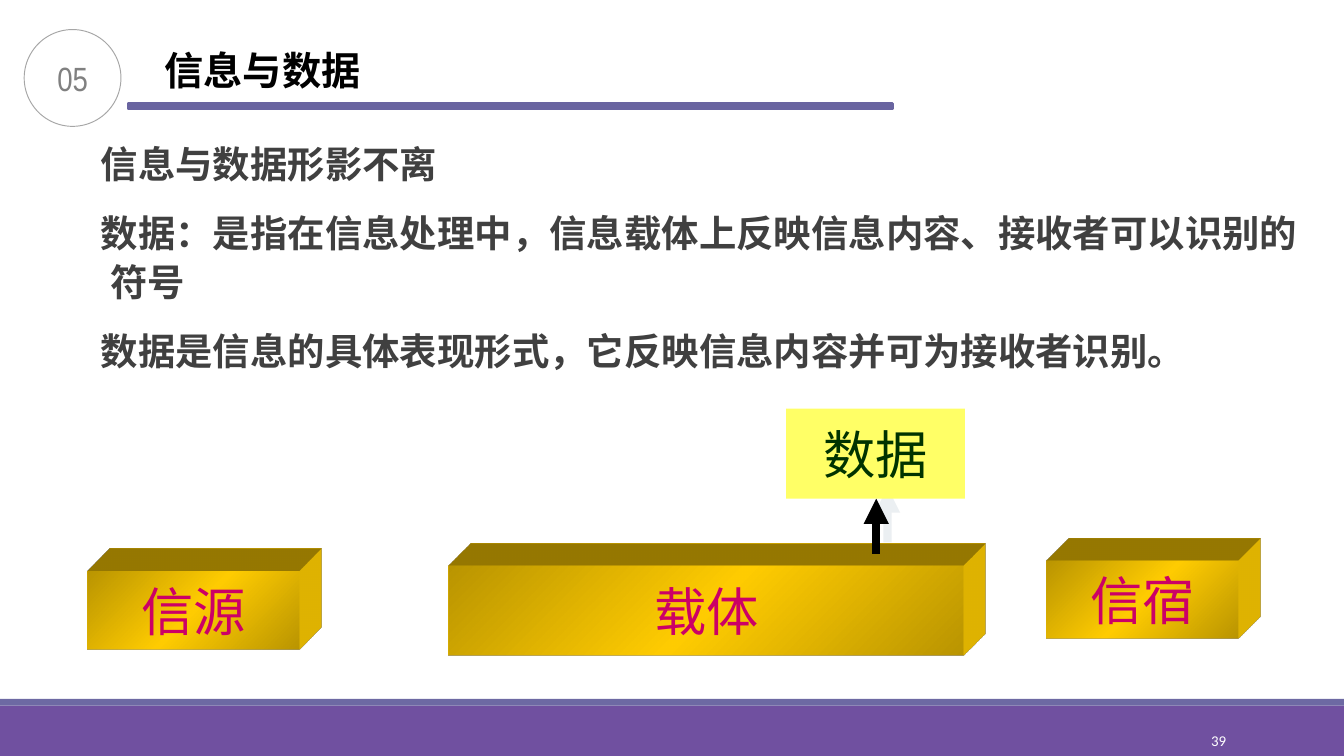
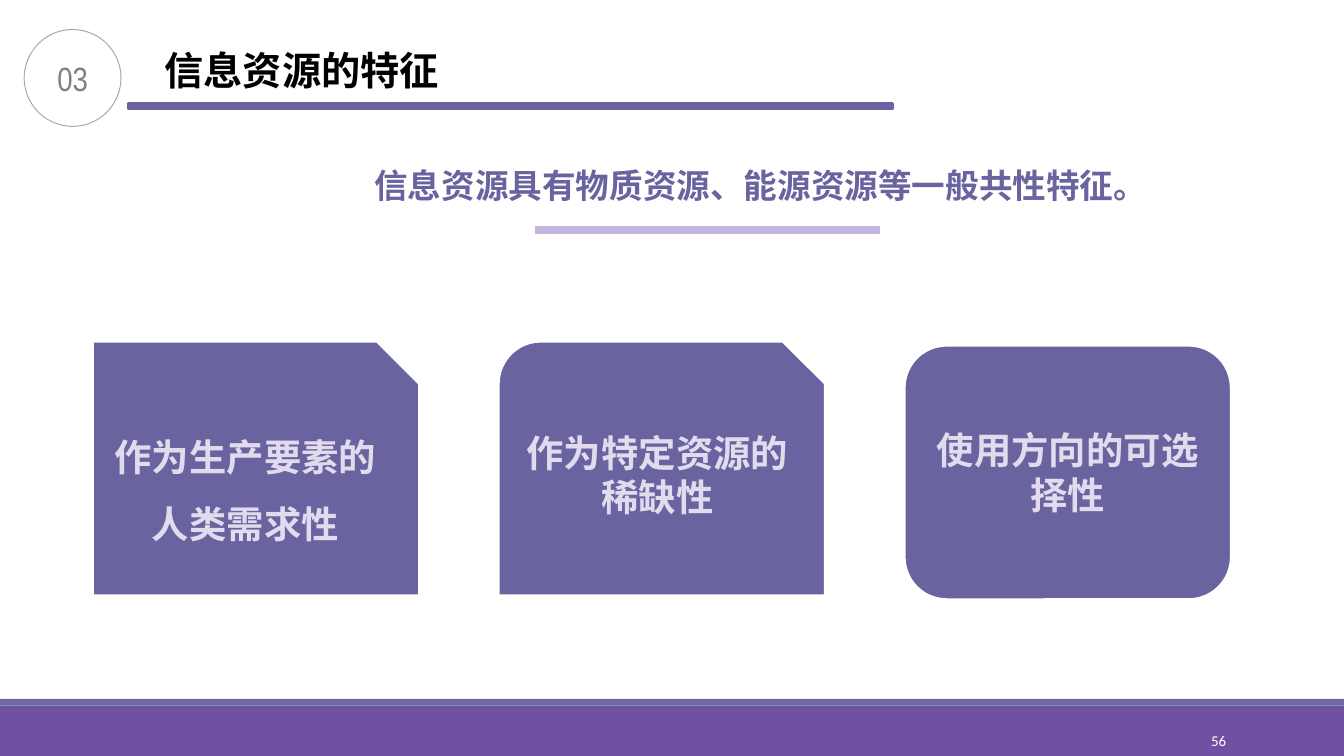
from copy import deepcopy
from dataclasses import dataclass

from lxml import etree
from pptx import Presentation
from pptx import util as u
from pptx.dml.color import RGBColor
from pptx.enum import shapes, text
from pptx.oxml import ns, parse_xml

SHAPE = shapes.MSO_SHAPE
ALIGN = text.PP_ALIGN
ANCHOR = text.MSO_ANCHOR


@dataclass(frozen=True)
class Theme:
    # Colours
    band: str = "7050A0"
    band_edge: str = "6D69A3"
    accent: str = "6964A0"
    accent_light: str = "C5B7DB"
    card_text: str = "E2DBED"
    ring: str = "A6A6A6"
    number: str = "808080"
    body: str = "404040"
    gold: str = "FFCC00"
    gold_dark: str = "BA9500"
    block_text: str = "CC0066"
    note: str = "FFFF66"
    note_text: str = "003300"
    arrow_shadow: str = "D9E0E6"
    white: str = "FFFFFF"
    black: str = "000000"
    # Type sizes
    page_size: int = 8
    number_size: int = 18
    title_size: int = 21
    lead_size: int = 18
    body_size: int = 20
    block_size: int = 28
    # Fonts
    cjk: str = "Noto Sans CJK SC"
    body_font: str = "Calibri"
    number_font: str = "Arial Narrow"
    block_font: str = "Arial"


T = Theme()
# Text insets in points: left and right, top and bottom
TIGHT = (5.4, 2.7)
NORMAL = (7.2, 3.6)
FLUSH = (0, 2.7)


def rgb(value):
    return RGBColor.from_string(value)


def inches(values):
    return [u.Inches(value) for value in values]


# Text
def write(shape, lines, size, color, font=T.cjk, bold=False, insets=NORMAL,
          anchor=ANCHOR.MIDDLE, align=ALIGN.CENTER, wrap=True, hanging=0, **spacing):
    """Fill a shape with paragraphs; spacing holds paragraph format values."""
    frame = shape.text_frame
    side, edge = [u.Pt(inset) for inset in insets]
    frame_format = {"margin_left": side, "margin_top": edge, "margin_right": side,
                    "margin_bottom": edge, "vertical_anchor": anchor, "word_wrap": wrap}
    for name, value in frame_format.items():
        setattr(frame, name, value)
    for index, line in enumerate(lines):
        paragraph = frame.paragraphs[0] if index == 0 else frame.add_paragraph()
        for name, value in {"alignment": align, **spacing}.items():
            setattr(paragraph, name, value)
        if index == 0:
            paragraph.space_before = u.Pt(0)
        if hanging:
            properties = paragraph._p.get_or_add_pPr()
            properties.set("marL", str(u.Inches(hanging)))
            properties.set("indent", str(-u.Inches(hanging)))
        run = paragraph.add_run()
        run.text = line
        for name, value in {"name": font, "size": u.Pt(size), "bold": bold}.items():
            setattr(run.font, name, value)
        run.font.color.rgb = rgb(color)
        east_asian = etree.SubElement(run._r.get_or_add_rPr(), ns.qn("a:ea"))
        east_asian.set("typeface", T.cjk)


def add_text(slide, at, lines, size, color, grow=False, **style):
    box = slide.shapes.add_textbox(*inches(at))
    write(box, lines, size, color, **style)
    if grow:
        box.text_frame.auto_size = text.MSO_AUTO_SIZE.SHAPE_TO_FIT_TEXT


# Shapes and lines
def add_shape(slide, kind, at, fill=None, line=None, width=1.25):
    shape = slide.shapes.add_shape(kind, *inches(at))
    shape.shadow.inherit = False
    if fill:
        shape.fill.solid()
        shape.fill.fore_color.rgb = rgb(fill)
    else:
        shape.fill.background()
    if line:
        shape.line.color.rgb = rgb(line)
        shape.line.width = u.Pt(width)
    else:
        shape.line.fill.background()
    return shape


def add_line(slide, start, end, color, width):
    """Draw a straight line; return it with its empty effect list."""
    line = slide.shapes.add_connector(shapes.MSO_CONNECTOR.STRAIGHT, *inches(start + end))
    line.line.color.rgb = rgb(color)
    line.line.width = u.Pt(width)
    effects = etree.SubElement(line._element.spPr, ns.qn("a:effectLst"))
    return line, effects


def add_arrow(slide, start, end):
    arrow, effects = add_line(slide, start, end, T.black, 4.5)
    head = etree.SubElement(arrow.line._get_or_add_ln(), ns.qn("a:tailEnd"))
    head.set("type", "triangle")
    effects.append(parse_xml(
        f'<a:outerShdw {ns.nsdecls("a")} dist="{u.Pt(8.5)}" dir="{315 * 60000}" algn="ctr">'
        f'<a:srgbClr val="{T.arrow_shadow}"><a:alpha val="50000"/></a:srgbClr></a:outerShdw>'))


def add_gold_block(slide, at, label):
    """A gold bar with a diagonal sheen, extruded towards the top right."""
    block = add_shape(slide, SHAPE.RECTANGLE, at)
    block.fill.gradient()
    block.fill.gradient_angle = 315
    properties = block._element.spPr
    stop_list = properties.find(".//" + ns.qn("a:gsLst"))
    stop_list.append(deepcopy(stop_list[0]))
    sheen = ((0, T.gold_dark), (0.5, T.gold), (1, T.gold_dark))
    for stop, (position, color) in zip(block.fill.gradient_stops, sheen):
        stop.position = position
        stop.color.rgb = rgb(color)
    properties.append(parse_xml(
        f'<a:scene3d {ns.nsdecls("a")}><a:camera prst="legacyObliqueTopRight"/>'
        '<a:lightRig rig="legacyFlat3" dir="b"/></a:scene3d>'))
    properties.append(parse_xml(
        f'<a:sp3d {ns.nsdecls("a")} extrusionH="{u.Inches(0.47)}" prstMaterial="legacyMatte">'
        '<a:bevelT w="13500" h="13500" prst="angle"/><a:bevelB w="13500" h="13500" prst="angle"/>'
        f'<a:extrusionClr><a:srgbClr val="{T.gold}"/></a:extrusionClr></a:sp3d>'))
    write(block, [label], T.block_size, T.block_text, font=T.block_font, wrap=False)


def add_card(slide, kind, left, top, label, line_spacing):
    card = add_shape(slide, kind, (left, top, 2.43, 1.89), T.accent, T.white)
    write(card, [label], T.body_size, T.card_text, bold=True, line_spacing=line_spacing)


# Frame shared by the slides
def add_framed_slide(deck, section, title, page):
    slide = deck.slides.add_slide(deck.slide_layouts[6])
    add_shape(slide, SHAPE.RECTANGLE, (0, 5.25, 10, 0.38), T.band)
    add_shape(slide, SHAPE.RECTANGLE, (0, 5.2, 10, 0.05), T.band_edge)
    add_text(slide, (8.12, 5.36, 1.08, 0.3), [page], T.page_size, T.white,
             font=T.body_font, insets=TIGHT, align=ALIGN.RIGHT)
    add_shape(slide, SHAPE.RECTANGLE, (0.95, 0.77, 5.69, 0.04), T.accent, T.accent)
    ring = add_shape(slide, SHAPE.OVAL, (0.18, 0.22, 0.72, 0.72), line=T.ring, width=0.5)
    write(ring, [section], T.number_size, T.number, font=T.number_font, insets=TIGHT)
    add_text(slide, (1.15, 0.31, 0.13 + 0.3 * len(title), 0.43), [title], T.title_size,
             T.black, grow=True, bold=True, insets=TIGHT, anchor=ANCHOR.TOP,
             align=ALIGN.LEFT, wrap=False)
    return slide


# Slides
def add_data_slide(deck):
    slide = add_framed_slide(deck, "05", "信息与数据", "39")
    statements = [
        "信息与数据形影不离",
        "数据：是指在信息处理中，信息载体上反映信息内容、接收者可以识别的符号",
        "数据是信息的具体表现形式，它反映信息内容并可为接收者识别。",
    ]
    add_text(slide, (0.75, 0.98, 9, 2.47), statements, T.body_size, T.body,
             font=T.body_font, bold=True, insets=FLUSH, anchor=ANCHOR.TOP,
             align=ALIGN.LEFT, hanging=0.07, line_spacing=1.1,
             space_before=u.Pt(9), space_after=u.Pt(1.5))

    # Source, carrier and receiver
    add_gold_block(slide, (3.34, 4.21, 3.83, 0.67), "载体")
    add_gold_block(slide, (0.65, 4.25, 1.58, 0.58), "信源")
    add_arrow(slide, (6.52, 4.12), (6.52, 3.71))
    data_note = add_shape(slide, SHAPE.RECTANGLE, (5.85, 3.04, 1.33, 0.67), T.note)
    write(data_note, ["数据"], T.block_size, T.note_text, font=T.block_font, wrap=False)
    add_gold_block(slide, (7.79, 4.17, 1.42, 0.58), "信宿")


def add_features_slide(deck):
    slide = add_framed_slide(deck, "03", "信息资源的特征", "56")
    features = [
        (SHAPE.SNIP_1_RECTANGLE, 2.54, "作为生产要素的人类需求性", 1.5),
        (SHAPE.SNIP_ROUND_RECTANGLE, 2.54, "作为特定资源的稀缺性", 1.0),
        (SHAPE.ROUNDED_RECTANGLE, 2.57, "使用方向的可选择性", 1.0),
    ]
    for index, (kind, top, label, line_spacing) in enumerate(features):
        add_card(slide, kind, 0.69 + 3.02 * index, top, label, line_spacing)

    # Lead sentence and its underline
    add_line(slide, (3.98, 1.71), (6.55, 1.71), T.accent_light, 4.5)
    add_text(slide, (2.56, 1.09, 6.2, 0.49), ["信息资源具有物质资源、能源资源等一般共性特征。"],
             T.lead_size, T.accent, grow=True, bold=True, anchor=ANCHOR.TOP, line_spacing=1.3)


def main():
    deck = Presentation()
    # Widescreen, 16 to 9
    deck.slide_width = u.Inches(10)
    deck.slide_height = u.Inches(10 * 9 / 16)
    add_data_slide(deck)
    add_features_slide(deck)
    deck.save("out.pptx")


if __name__ == "__main__":
    main()
